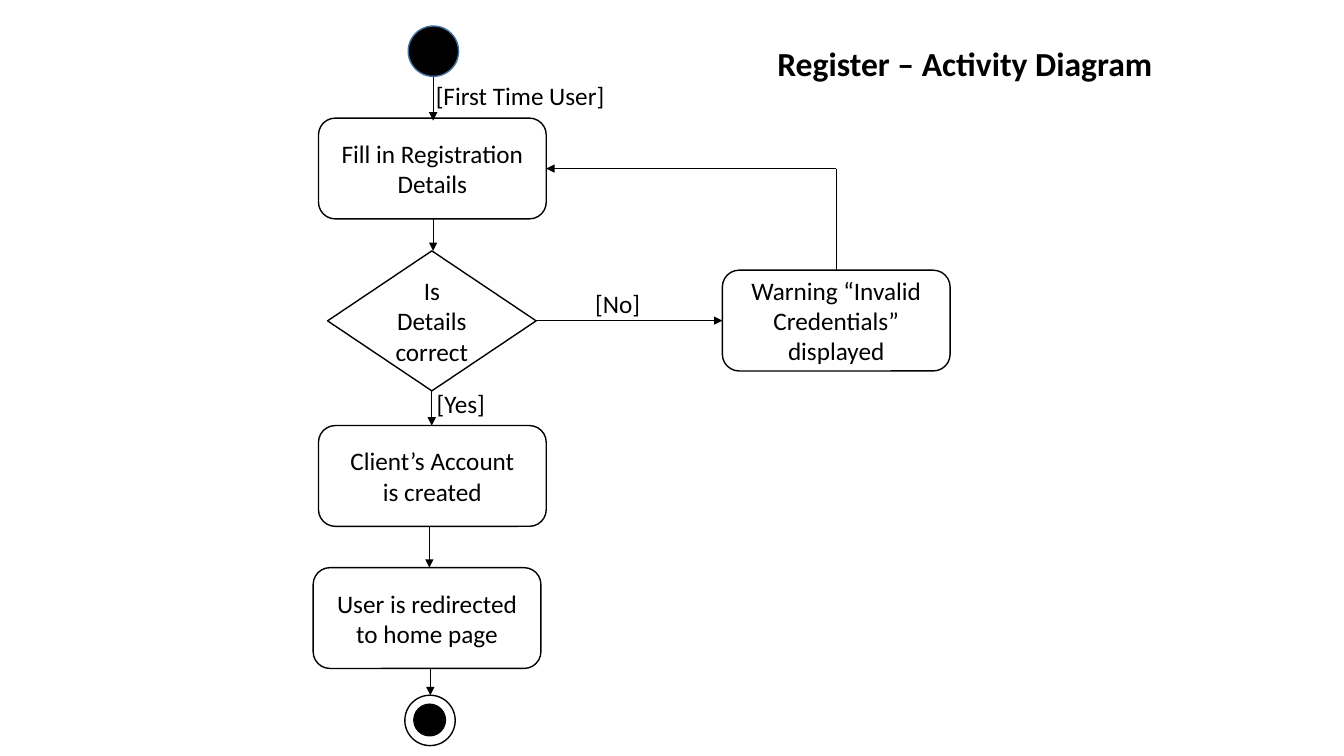
from lxml import etree
from pptx import Presentation
from pptx import util as u
from pptx.dml.color import RGBColor
from pptx.enum import shapes, text
from pptx.oxml import ns

BLACK = RGBColor(0x00, 0x00, 0x00)
WHITE = RGBColor(0xFF, 0xFF, 0xFF)
START_BLUE = RGBColor(0x43, 0x73, 0x9E)
ROUNDED = shapes.MSO_SHAPE.ROUNDED_RECTANGLE
DECISION = shapes.MSO_SHAPE.FLOWCHART_DECISION
CIRCLE = shapes.MSO_SHAPE.FLOWCHART_CONNECTOR
STEP_SIZE = (162.7, 72)


def add_node(kind, left, top, width, height, fill, outline):
    node = slide.shapes.add_shape(kind, u.Pt(left), u.Pt(top), u.Pt(width), u.Pt(height))
    node.shadow.inherit = False
    if fill is None:
        node.fill.background()
    else:
        node.fill.solid()
        node.fill.fore_color.rgb = fill
    node.line.color.rgb = outline
    node.line.width = u.Pt(1)
    return node


def write(paragraph, words, size, align, bold=False):
    paragraph.alignment = align
    run = paragraph.add_run()
    run.text = words
    run.font.name = "Calibri"
    run.font.size = u.Pt(size)
    run.font.bold = bold
    run.font.color.rgb = BLACK


deck = Presentation()
deck.slide_width = u.Pt(960)
deck.slide_height = u.Pt(540)
slide = deck.slides.add_slide(deck.slide_layouts[5])

heading = slide.shapes.title
heading.left, heading.top = u.Pt(548), u.Pt(26.7)
heading.width, heading.height = u.Pt(287), u.Pt(36)
heading.text_frame.auto_size = text.MSO_AUTO_SIZE.NONE
heading.text_frame.vertical_anchor = text.MSO_ANCHOR.TOP
write(heading.text_frame.paragraphs[0], "Register – Activity Diagram", 24,
      text.PP_ALIGN.LEFT, True)

activities = [
    (ROUNDED, 227.5, 84.4, STEP_SIZE, ["Fill in Registration", "Details"]),
    (DECISION, 234, 179.2, (149, 100), ["Is", "Details", "correct"]),
    (ROUNDED, 516, 193, STEP_SIZE, ["Warning “Invalid Credentials”", "displayed"]),
    (ROUNDED, 227.5, 304, STEP_SIZE, ["Client’s Account", "is created"]),
    (ROUNDED, 223.7, 405.5, STEP_SIZE, ["User is redirected", "to home page"]),
]
for kind, left, top, (width, height), lines in activities:
    frame = add_node(kind, left, top, width, height, WHITE, BLACK).text_frame
    frame.vertical_anchor = text.MSO_ANCHOR.MIDDLE
    for index, words in enumerate(lines):
        paragraph = frame.add_paragraph() if index else frame.paragraphs[0]
        write(paragraph, words, 18, text.PP_ALIGN.CENTER)

terminals = [
    (291.6, 18.6, 36, BLACK, START_BLUE),
    (295.6, 503, 22.6, BLACK, BLACK),
    (289.2, 496.6, 36, None, BLACK),
]
for left, top, diameter, fill, outline in terminals:
    add_node(CIRCLE, left, top, diameter, diameter, fill, outline)

flows = [
    (309.4, 55.2, 309.4, 86.1, True),
    (309.4, 156.4, 309.4, 179.2, True),
    (308.4, 279, 308.4, 304, True),
    (383, 229, 516, 229, True),
    (306.7, 376, 306.7, 405.5, True),
    (597.4, 120.4, 597.4, 193, False),
    (597.4, 120.4, 390.2, 120.4, True),
    (307.4, 477.5, 307.4, 496.6, True),
]
for x1, y1, x2, y2, has_arrow in flows:
    flow = slide.shapes.add_connector(
        shapes.MSO_CONNECTOR.STRAIGHT, u.Pt(x1), u.Pt(y1), u.Pt(x2), u.Pt(y2))
    flow.line.color.rgb = BLACK
    flow.line.width = u.Pt(0.5)
    if has_arrow:
        etree.SubElement(flow.line._get_or_add_ln(), ns.qn("a:tailEnd"), type="triangle")
    etree.SubElement(flow._element.spPr, ns.qn("a:effectLst"))

guards = [("[No]", 418, 202.6), ("[Yes]", 304.8, 274), ("[First Time User]", 304.2, 54)]
for words, left, top in guards:
    guard = slide.shapes.add_textbox(u.Pt(left), u.Pt(top), u.Pt(150), u.Pt(29))
    guard.text_frame.word_wrap = True
    write(guard.text_frame.paragraphs[0], words, 18, text.PP_ALIGN.LEFT)

deck.save("out.pptx")
